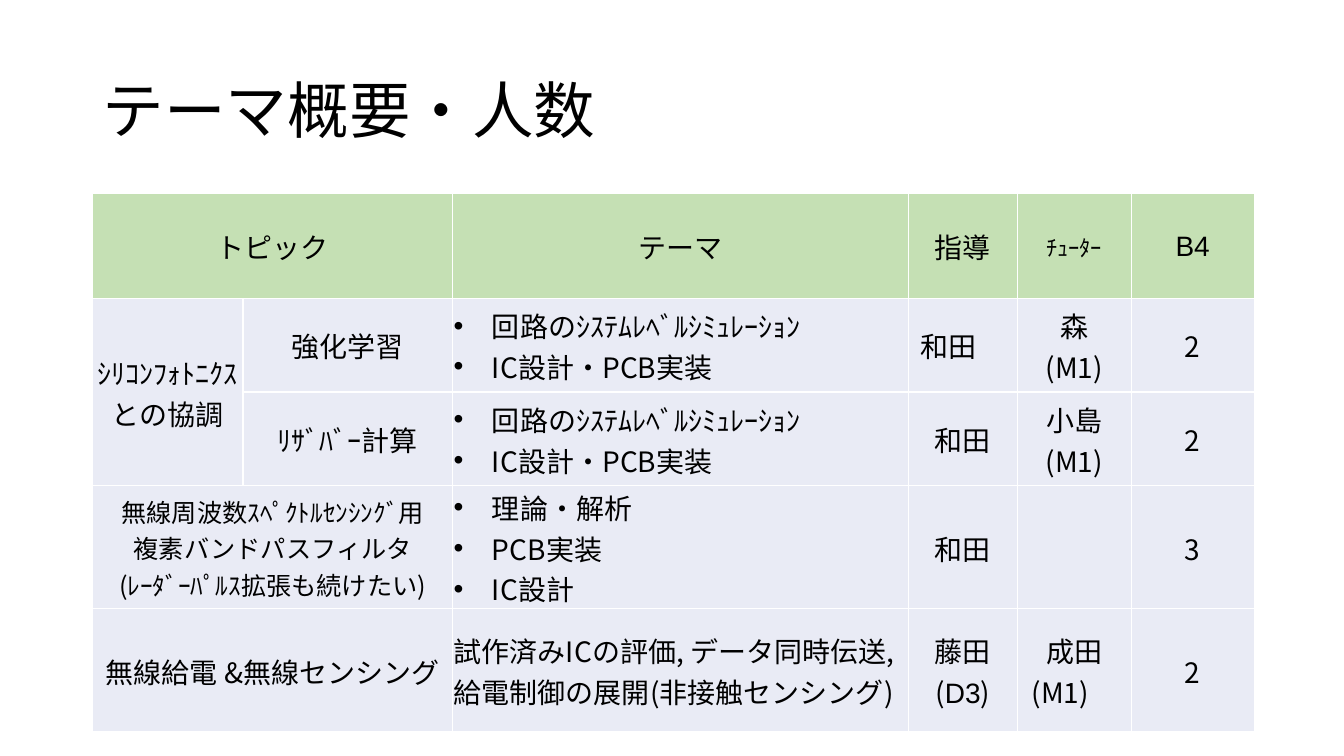
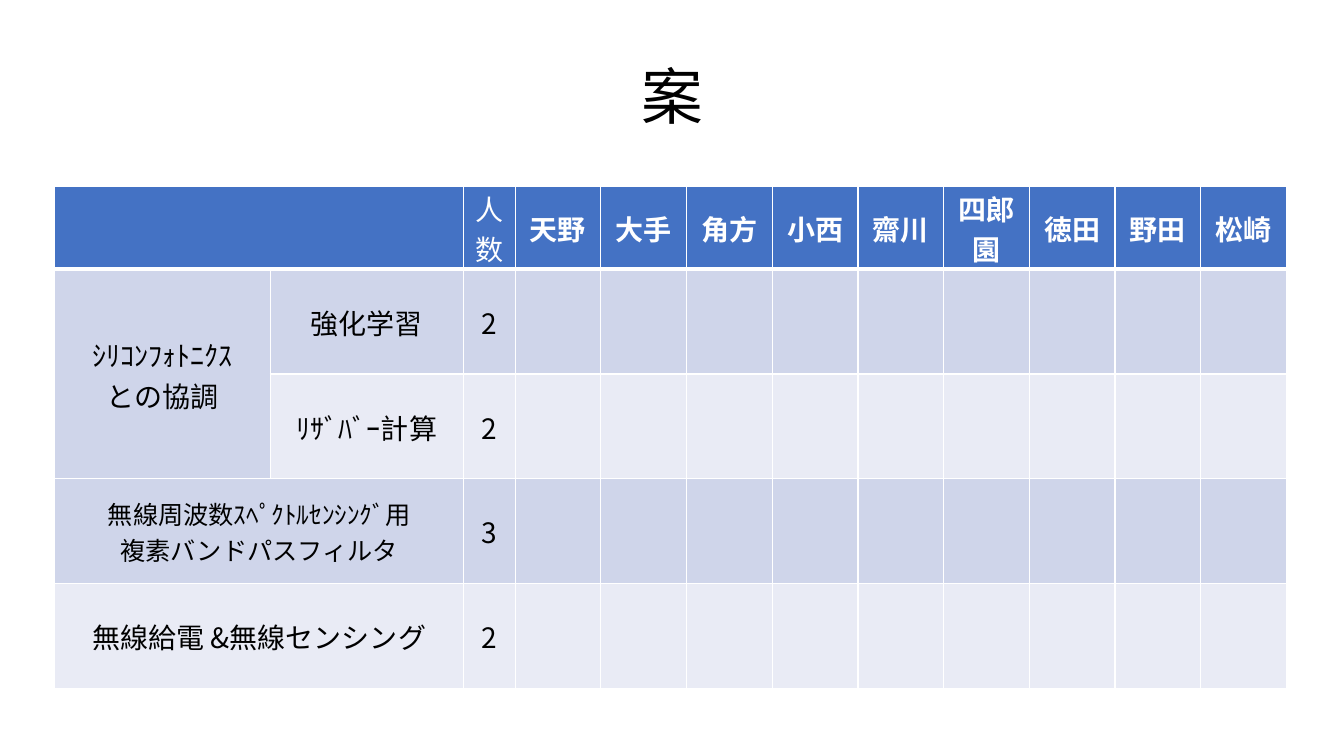
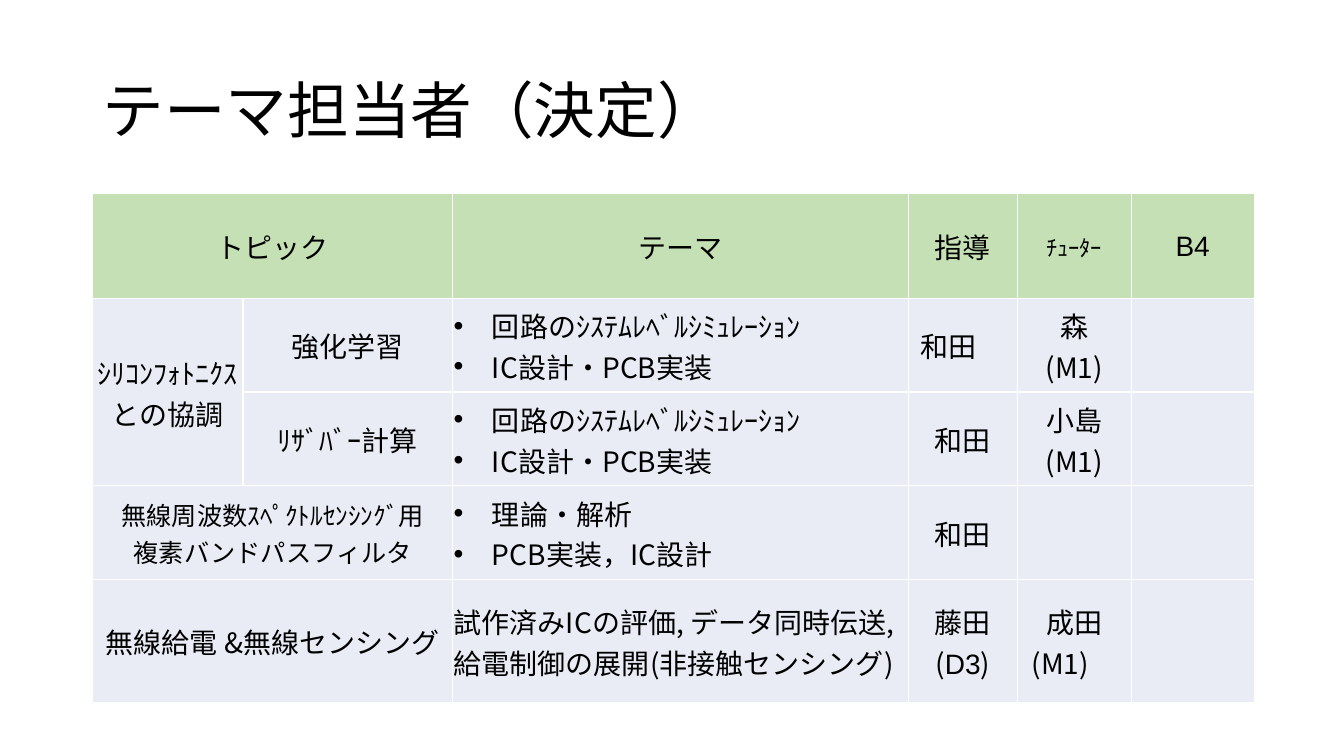
from lxml.etree import SubElement
from pptx import Presentation
from pptx.dml.color import RGBColor
from pptx.enum.text import MSO_ANCHOR, PP_ALIGN
from pptx.oxml.ns import qn
from pptx.util import Inches, Pt

JAPANESE, LATIN = "Noto Sans CJK JP", "Arial"
BLACK, WHITE = "000000", "FFFFFF"
GREEN, BLUE = "C5E0B4", "4472C4"
PALE, MEDIUM = "E9EBF5", "CFD5EA"
TWO_LINES, THREE_LINES = 0.93, 1.22

SILICON = "ｼﾘｺﾝﾌｫﾄﾆｸｽ\nとの協調"
LEARNING = "強化学習"
RESERVOIR = "ﾘｻﾞﾊﾞｰ計算"
FILTER = "無線周波数ｽﾍﾟｸﾄﾙｾﾝｼﾝｸﾞ用\v複素バンドパスフィルタ"
POWER = "無線給電 &無線センシング"
CIRCUIT = "•回路のｼｽﾃﾑﾚﾍﾞﾙｼﾐｭﾚｰｼｮﾝ\n•IC設計・PCB実装"
EVALUATION = "試作済みICの評価, データ同時伝送, 給電制御の展開(非接触センシング)"
MEMBERS = ["天野", "大手", "角方", "小西", "齋川", "四郎園", "徳田", "野田", "松崎"]
TOPIC_MERGES = [(0, 0, 0, 1), (1, 0, 2, 0), (3, 0, 3, 1), (4, 0, 4, 1)]


def color(value):
    return RGBColor.from_string(value)


def styled(text, **style):
    return text, style


def add_bullet(paragraph):
    properties = paragraph._p.get_or_add_pPr()
    properties.set("marL", str(Inches(0.38)))
    properties.set("indent", str(-Inches(0.38)))
    SubElement(properties, qn("a:buFont"), typeface=LATIN)
    SubElement(properties, qn("a:buChar"), char="•")


def add_run(paragraph, text, font, size, fill, bold):
    run = paragraph.add_run()
    run.text = text
    run.font.name = font
    run.font.size = Pt(size)
    run.font.bold = bold
    run.font.color.rgb = color(fill)
    SubElement(run._r.get_or_add_rPr(), qn("a:ea"), typeface=JAPANESE)


def write(frame, text, font=JAPANESE, size=20, fill=BLACK, bold=False,
          align=PP_ALIGN.CENTER, spacing=None):
    for number, content in enumerate(text.split("\n")):
        paragraph = frame.add_paragraph() if number else frame.paragraphs[0]
        bulleted = content.startswith("•")
        if bulleted:
            add_bullet(paragraph)
        paragraph.alignment = PP_ALIGN.LEFT if bulleted else align
        if spacing:
            paragraph.line_spacing = spacing
        for line_number, line in enumerate(content.removeprefix("•").split("\v")):
            if line_number:
                paragraph.add_line_break()
            for piece_number, piece in enumerate(line.split("|")):
                face = LATIN if piece_number % 2 else font
                add_run(paragraph, piece, face, size, fill, bold)


def set_borders(cell, bottom):
    properties = cell._tc.get_or_add_tcPr()
    for side, width in (("L", 1), ("R", 1), ("T", 1), ("B", bottom)):
        line = SubElement(properties, qn(f"a:ln{side}"), w=str(Pt(width)))
        solid = SubElement(line, qn("a:solidFill"))
        SubElement(solid, qn("a:srgbClr"), val=WHITE)


class Deck:
    def __init__(self):
        self.presentation = Presentation()
        self.presentation.slide_width = Inches(13.33)
        self.presentation.slide_height = Inches(7.5)
        self.slide = None

    def add_slide(self):
        self.slide = self.presentation.slides.add_slide(
            self.presentation.slide_layouts[6])

    def title(self, text, top, height, align=PP_ALIGN.LEFT):
        shape = self.slide.shapes.add_textbox(
            Inches(0.92), Inches(top), Inches(11.5), Inches(height))
        frame = shape.text_frame
        frame.word_wrap = True
        frame.vertical_anchor = MSO_ANCHOR.MIDDLE
        write(frame, text, size=44, align=align, spacing=0.9)

    def table(self, left, top, widths, heights, rows, fills, header_color=BLACK,
              header_line=1):
        table = self.slide.shapes.add_table(
            len(heights), len(widths), Inches(left), Inches(top),
            Inches(sum(widths)), Inches(sum(heights))).table
        table.first_row = table.horz_banding = False
        for column, width in zip(table.columns, widths):
            column.width = Inches(width)
        for row, height in zip(table.rows, heights):
            row.height = Inches(height)
        for row_number, row in enumerate(rows):
            header = row_number == 0
            for column_number, content in enumerate(row):
                text, style = content if isinstance(content, tuple) else (content, {})
                if header:
                    style = {"font": LATIN, "fill": header_color, **style}
                cell = table.cell(row_number, column_number)
                self.cell(cell, text, fills[row_number],
                          header_line if header else 1, style)
        for first_row, first_column, last_row, last_column in TOPIC_MERGES:
            table.cell(first_row, first_column).merge(
                table.cell(last_row, last_column))

    def cell(self, cell, text, fill, bottom, style):
        cell.margin_left = cell.margin_top = cell.margin_right = Inches(0.01)
        cell.margin_bottom = 0
        cell.vertical_anchor = MSO_ANCHOR.MIDDLE
        set_borders(cell, bottom)
        cell.fill.solid()
        cell.fill.fore_color.rgb = color(fill)
        if text:
            write(cell.text_frame, text, **style)

    def theme_slide(self, title, filter_topic, filter_theme, filter_height, counts):
        self.add_slide()
        self.title(title, 0.4, 1.45)
        rows = [
            ["トピック", "", "テーマ", "指導", styled("ﾁｭｰﾀｰ", size=16), "B4"],
            [SILICON, LEARNING, CIRCUIT, "和田　", "森\n(M1)", counts[0]],
            ["", RESERVOIR, CIRCUIT, "和田", "小島\n(M1)", counts[1]],
            [styled(filter_topic, size=18), "", filter_theme, "和田", "", counts[2]],
            [POWER, "", styled(EVALUATION, align=PP_ALIGN.LEFT),
             "藤田\n(|D3|)", "成田\n(M1)　", counts[3]],
        ]
        self.table(0.92, 1.92, [1.49, 2.08, 4.52, 1.08, 1.13, 1.22],
                   [1.04, TWO_LINES, TWO_LINES, filter_height, THREE_LINES],
                   rows, [GREEN] + [PALE] * 4)

    def plan_slide(self, counts):
        self.add_slide()
        self.title("案", 0.5, 0.97, PP_ALIGN.CENTER)
        blanks = [""] * len(MEMBERS)
        names = [styled(name, bold=True) for name in MEMBERS]
        topics = [[SILICON, LEARNING], ["", RESERVOIR],
                  [styled(FILTER, size=18), ""], [POWER, ""]]
        rows = [["", "", "人数"] + names]
        rows += [topic + [count] + blanks for topic, count in zip(topics, counts)]
        self.table(0.54, 1.85, [2.14, 1.92, 0.51] + [0.85] * len(MEMBERS),
                   [0.82] + [1.04] * 4, rows, [BLUE] + [MEDIUM, PALE] * 2,
                   header_color=WHITE, header_line=3)


def main():
    deck = Deck()
    counts = ["2", "2", "3", "2"]
    deck.theme_slide("テーマ概要・人数", FILTER + "\n(ﾚｰﾀﾞｰﾊﾟﾙｽ拡張も続けたい)",
                     "•理論・解析\n•PCB実装\n•IC設計", THREE_LINES, counts)
    deck.plan_slide(counts)
    deck.theme_slide("テーマ担当者（決定）", FILTER,
                     "•理論・解析\n•PCB実装，IC設計", TWO_LINES, [""] * 4)
    deck.presentation.save("out.pptx")


if __name__ == "__main__":
    main()
